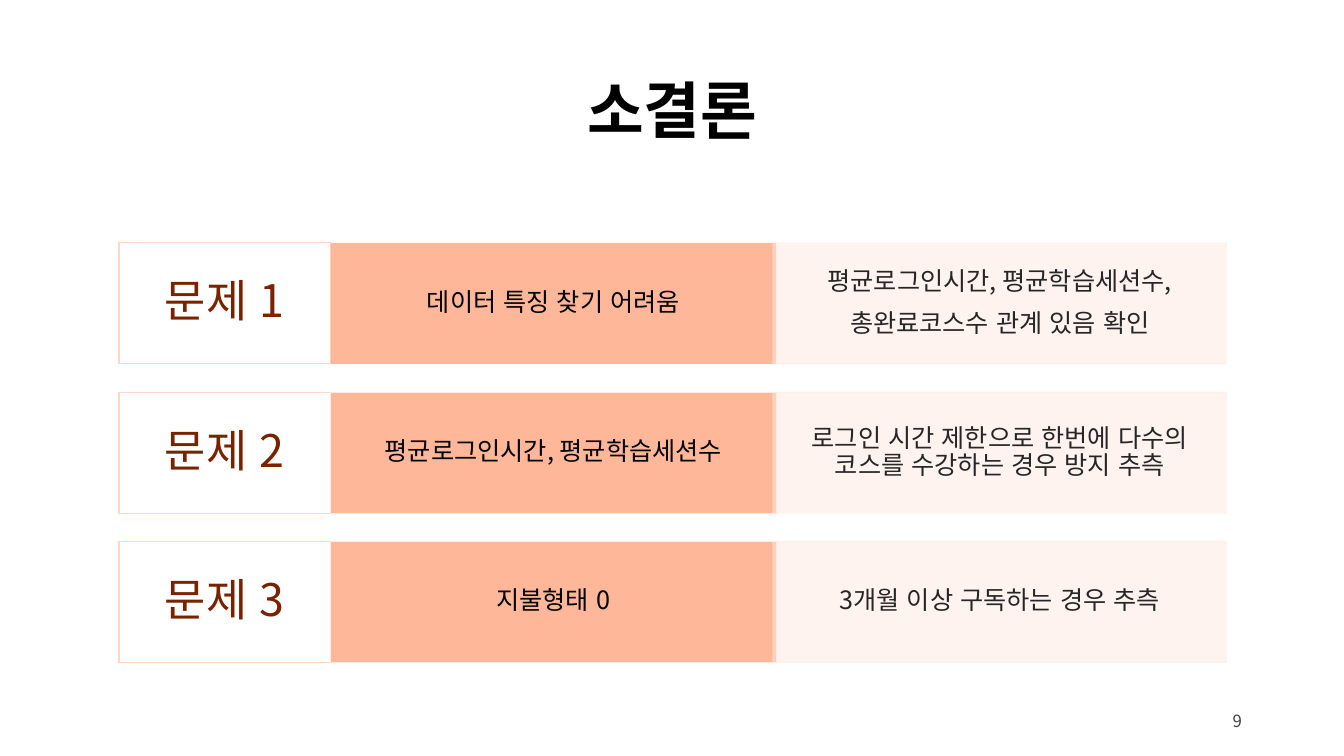
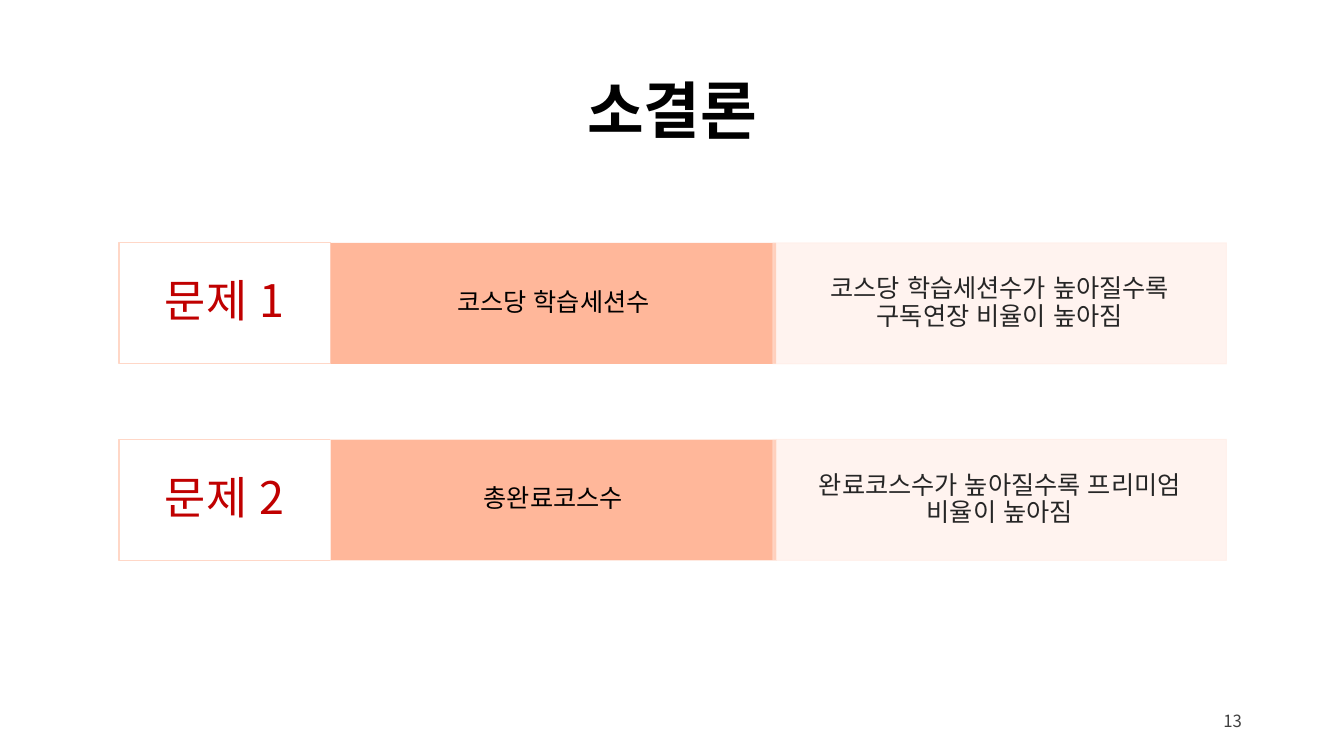
from pptx import Presentation
from pptx.dml.color import RGBColor
from pptx.enum.lang import MSO_LANGUAGE_ID
from pptx.enum.shapes import MSO_SHAPE
from pptx.enum.text import MSO_ANCHOR, MSO_AUTO_SIZE, PP_ALIGN
from pptx.oxml.ns import qn
from pptx.util import Cm, Pt
from lxml.etree import SubElement

FONT = "Noto Sans CJK KR"
BLACK = "000000"
BROWN = "782300"
RED = "C00000"
SALMON = "FFB79A"
BLUSH = "FFE9E0"

ROW_TOP = 6.12
ROW_HEIGHT = 3.05

# Each column of a row: left and width in cm, colours and text format
LABEL = dict(left=3, width=5.33, line="FFD7C7", size=32)
TOPIC = dict(left=8.33, width=11.23, fill=SALMON, size=18, color=BLACK, before=10, margin=0)
FINDING = dict(left=19.48, width=11.43, fill=BLUSH, line=BLUSH, opacity=50,
               size=18, color="262626", before=10)

SLIDES = [
    dict(title="소결론", number=9, pitch=3.76, accent=BROWN, rows=[
        ("데이터 특징 찾기 어려움", "평균로그인시간, 평균학습세션수,\n총완료코스수 관계 있음 확인"),
        ("평균로그인시간, 평균학습세션수", "로그인 시간 제한으로 한번에 다수의 코스를 수강하는 경우 방지 추측"),
        ("지불형태 0", "3개월 이상 구독하는 경우 추측"),
    ]),
    dict(title="소결론", number=13, pitch=4.95, accent=RED, rows=[
        ("코스당 학습세션수", "코스당 학습세션수가 높아질수록 구독연장 비율이 높아짐"),
        ("총완료코스수", "완료코스수가 높아질수록 프리미엄 비율이 높아짐"),
    ]),
]


def rgb(value):
    return RGBColor.from_string(value)


def set_attributes(target, values):
    for name, value in values.items():
        setattr(target, name, value)


def set_opacity(shape, percent):
    """Make the fill and the outline of a shape equally see-through."""
    for color in shape.element.spPr.iter(qn("a:srgbClr")):
        SubElement(color, qn("a:alpha")).set("val", str(percent * 1000))


def set_hangul_font(shape):
    """Hangul takes its typeface from the East Asian font of each run."""
    for properties in shape.element.iter(qn("a:rPr")):
        SubElement(properties, qn("a:ea")).set("typeface", FONT)


class Deck:
    """Holds the shared style and the slide being built."""

    def __init__(self):
        self.presentation = Presentation()
        set_attributes(self.presentation, {"slide_width": Cm(33.87), "slide_height": Cm(19.05)})
        self.slide = None

    def add_slide(self, title):
        self.slide = self.presentation.slides.add_slide(self.presentation.slide_layouts[5])
        shape = self.slide.shapes.title
        set_attributes(shape, {"left": Cm(2.34), "top": Cm(1.02),
                               "width": Cm(29.21), "height": Cm(3.68)})
        self.set_text(shape, title, 44, BLACK, bold=True)

    def set_text(self, shape, text, size, color, bold=False, before=0,
                 align=PP_ALIGN.CENTER, line_spacing=0.9, margin=None):
        frame = shape.text_frame
        frame.text = text
        set_attributes(frame, {"word_wrap": True, "auto_size": MSO_AUTO_SIZE.NONE,
                               "vertical_anchor": MSO_ANCHOR.MIDDLE})
        if margin is not None:
            sides = ("left", "top", "right", "bottom")
            set_attributes(frame, {f"margin_{side}": Cm(margin) for side in sides})
        for paragraph in frame.paragraphs:
            set_attributes(paragraph, {"alignment": align, "line_spacing": line_spacing,
                                       "space_before": Pt(before)})
            for run in paragraph.runs:
                set_attributes(run.font, {"name": FONT, "size": Pt(size), "bold": bold,
                                          "language_id": MSO_LANGUAGE_ID.KOREAN})
                run.font.color.rgb = rgb(color)
        set_hangul_font(shape)

    def add_cell(self, text, top, left, width, fill=None, line=None, opacity=None, **text_format):
        shape = self.slide.shapes.add_shape(
            MSO_SHAPE.RECTANGLE, Cm(left), Cm(top), Cm(width), Cm(ROW_HEIGHT))
        shape.shadow.inherit = False
        if fill:
            shape.fill.solid()
            shape.fill.fore_color.rgb = rgb(fill)
        else:
            shape.fill.background()
        if line:
            shape.line.color.rgb = rgb(line)
            shape.line.width = Pt(0.75)
        else:
            shape.line.fill.background()
        if opacity:
            set_opacity(shape, opacity)
        self.set_text(shape, text, **text_format)

    def add_rows(self, rows, pitch, accent):
        for index, (topic, finding) in enumerate(rows):
            top = ROW_TOP + index * pitch
            self.add_cell(f"문제 {index + 1}", top, color=accent, **LABEL)
            # The topic of the first row has no outline
            self.add_cell(topic, top, line=BLUSH if index else None, **TOPIC)
            self.add_cell(finding, top, **FINDING)

    def add_page_number(self, number):
        shape = self.slide.shapes.add_textbox(Cm(23.93), Cm(17.65), Cm(7.62), Cm(1.02))
        self.set_text(shape, str(number), 12, "404040", align=PP_ALIGN.RIGHT, line_spacing=1.0)


def main():
    deck = Deck()
    for content in SLIDES:
        deck.add_slide(content["title"])
        deck.add_rows(content["rows"], content["pitch"], content["accent"])
        deck.add_page_number(content["number"])
    deck.presentation.save("out.pptx")


if __name__ == "__main__":
    main()
